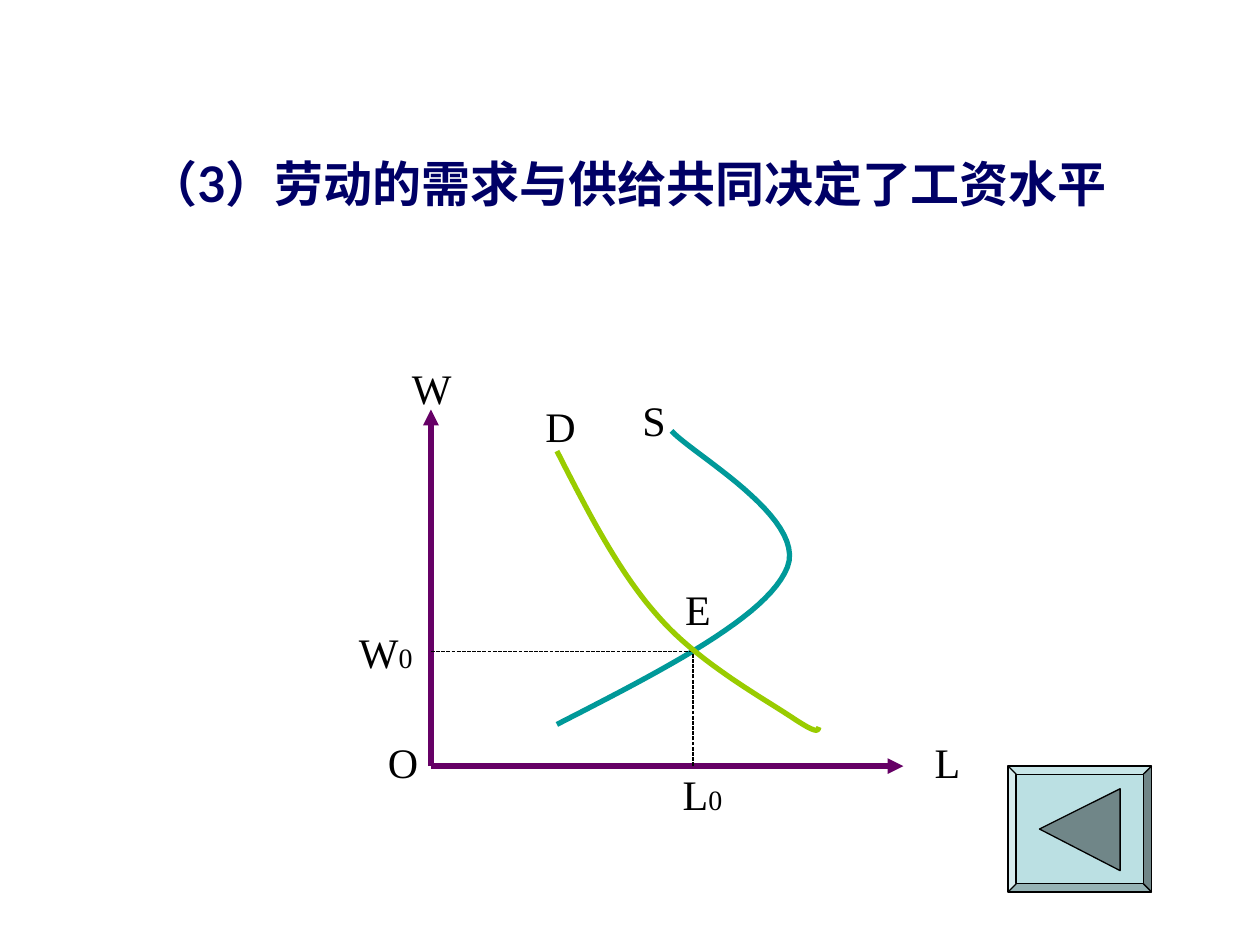
import pptx
import pptx.util
import pptx.dml.color
import pptx.enum.dml
import pptx.enum.shapes
import pptx.enum.text
import pptx.oxml.ns
from lxml import etree

Inches, Pt = pptx.util.Inches, pptx.util.Pt
SHAPE, TEXT = pptx.enum.shapes, pptx.enum.text


def rgb(value):
    """Return the colour for a hex string."""
    return pptx.dml.color.RGBColor.from_string(value)


def style_run(r, color, **values):
    """Set the font of a run from format values."""
    for name, value in values.items():
        setattr(r.font, name, value)
    r.font.color.rgb = rgb(color)


def style_line(sp, color, width):
    """Set the outline colour and width of a shape or connector."""
    sp.line.color.rgb = rgb(color)
    sp.line.width = Pt(width)


def add_title(s, box, text):
    """Place and format the slide title."""
    sp = s.shapes.title
    for name, value in zip(("left", "top", "width", "height"), box):
        setattr(sp, name, Inches(value))
    tf = sp.text_frame
    tf.auto_size = TEXT.MSO_AUTO_SIZE.NONE
    tf.vertical_anchor = TEXT.MSO_ANCHOR.MIDDLE
    p = tf.paragraphs[0]
    p.alignment = TEXT.PP_ALIGN.LEFT
    r = p.add_run()
    r.text = text
    style_run(r, "000066", name="Lato", size=Pt(28), bold=True)


def add_line(s, start, end, color, width, arrow=False, dash=None):
    """Draw a straight line, with an arrowhead or dashes if asked."""
    sp = s.shapes.add_connector(SHAPE.MSO_CONNECTOR.STRAIGHT, *(Inches(v) for v in start + end))
    style_line(sp, color, width)
    sp.line.dash_style = dash
    qn = pptx.oxml.ns.qn
    if arrow:
        etree.SubElement(sp.line._get_or_add_ln(), qn("a:tailEnd"), type="triangle")
    etree.SubElement(sp._element.spPr, qn("a:effectLst"))


def add_outline(s, points, close):
    """Build a freeform through points given in inches."""
    start, *rest = [(Inches(x), Inches(y)) for x, y in points]
    builder = s.shapes.build_freeform(*start)
    builder.add_line_segments(rest, close=close)
    sp = builder.convert_to_shape()
    sp.shadow.inherit = False
    return sp


def bezier(points, steps=24):
    """Sample a chain of cubic curves that share their end points."""
    path = [points[0]]
    for i in range(0, len(points) - 1, 3):
        for step in range(1, steps + 1):
            t = step / steps
            weights = ((1 - t) ** 3, 3 * t * (1 - t) ** 2, 3 * t * t * (1 - t), t ** 3)
            path.append(tuple(sum(w * pt[k] for w, pt in zip(weights, points[i:i + 4]))
                              for k in (0, 1)))
    return path


def add_curve(s, points, color):
    """Draw an open smooth curve."""
    sp = add_outline(s, bezier(points), close=False)
    sp.fill.background()
    style_line(sp, color, 3)


def add_label(s, left, top, width, text, index=""):
    """Write a letter with an optional small index."""
    sp = s.shapes.add_textbox(Inches(left), Inches(top), Inches(width), Inches(0.5))
    tf = sp.text_frame
    tf.word_wrap = False
    tf.auto_size = TEXT.MSO_AUTO_SIZE.SHAPE_TO_FIT_TEXT
    for part, size in ((text, 24), (index, 16)):
        if part:
            r = tf.paragraphs[0].add_run()
            r.text = part
            style_run(r, "000000", name="Times New Roman", size=Pt(size))


def add_diagram(s, box):
    """Draw the labour market diagram with axes, curves and labels."""
    left, top, width, height = box

    def at(x, y):
        """Shift a point into the box."""
        return left + x, top + y

    origin, balance = (0.67, 3.25), (2.75, 2.34)
    for tip in ((origin[0], 0.42), (4.42, origin[1])):
        add_line(s, at(*origin), at(*tip), "660066", 3, arrow=True)
    supply = [(1.67, 2.92), (2.51, 2.49), (3.35, 2.06), (3.5, 1.67),
              (3.65, 1.28), (2.74, 0.77), (2.58, 0.59)]
    demand = [(1.67, 0.75), (1.92, 1.24), (2.17, 1.73), (2.49, 2.08),
              (2.8, 2.43), (3.32, 2.72), (3.53, 2.86),
              (3.74, 3), (3.74, 2.97), (3.75, 2.94)]
    add_curve(s, [at(*pt) for pt in supply], "009999")
    for foot in ((origin[0], balance[1]), (balance[0], origin[1])):
        add_line(s, at(*foot), at(*balance), "000000", 0.75,
                 dash=pptx.enum.dml.MSO_LINE.SQUARE_DOT)
    add_curve(s, [at(*pt) for pt in demand], "99CC00")
    labels = [(0.42, 0, 0.51, "W"), (4.57, 2.97, 0.4, "L"), (0.23, 2.97, 0.44, "O"),
              (2.25, 0.25, 0.38, "S"), (1.48, 0.3, 0.44, "D"), (2.59, 1.75, 0.4, "E"),
              (0, 2.09, 0.65, "W", "0"), (2.57, 3.22, 0.55, "L", "0")]
    for x, y, *rest in labels:
        add_label(s, *at(x, y), *rest)


def add_back_button(s, box):
    """Draw a bevelled button with a triangle pointing left."""
    left, top, width, height = box
    button = s.shapes.add_shape(SHAPE.MSO_SHAPE.BEVEL, *(Inches(v) for v in box))
    button.adjustments[0] = 0.065
    button.shadow.inherit = False
    points = [(left + 0.25, top + 0.5), (left + 0.89, top + 0.18), (left + 0.89, top + 0.83)]
    triangle = add_outline(s, points, close=True)
    for sp, color in ((button, "BBE0E3"), (triangle, "708688")):
        sp.fill.solid()
        sp.fill.fore_color.rgb = rgb(color)
        style_line(sp, "000000", 0.75)


def main():
    """Build and save the slide."""
    prs = pptx.Presentation()
    prs.slide_width, prs.slide_height = Inches(10), Inches(7.5)
    s = prs.slides.add_slide(prs.slide_layouts[5])
    add_title(s, (1.08, 0.83, 8.5, 1.25), "（3）劳动的需求与供给共同决定了工资水平")
    add_diagram(s, (2.75, 2.83, 4.97, 3.72))
    add_back_button(s, (8, 6.08, 1.14, 1))
    prs.save("out.pptx")


if __name__ == "__main__":
    main()
